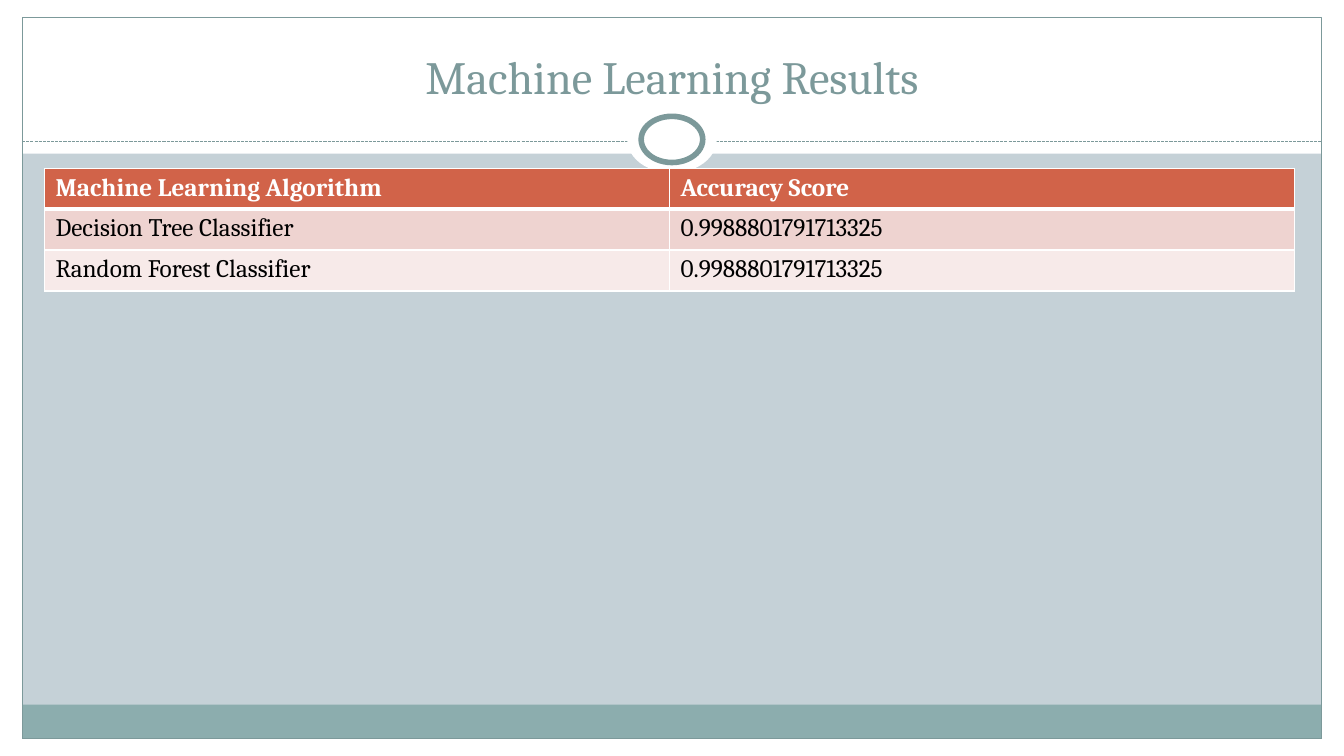
"""Build the machine learning results slide."""
from dataclasses import dataclass
from typing import Any, Optional

import lxml.etree
import pptx
import pptx.dml.color
import pptx.enum.dml
import pptx.enum.shapes
import pptx.enum.text
import pptx.oxml.ns
import pptx.util

Pt = pptx.util.Pt
Kind = pptx.enum.shapes.MSO_SHAPE


@dataclass(frozen=True)
class Theme:
    font: str = "Cambria"
    background: str = "C5D1D7"
    white: str = "FFFFFF"
    black: str = "000000"
    accent: str = "7C999A"
    footer: str = "8CADAE"
    header: str = "D16349"
    bands: tuple[str, str] = ("EED3D0", "F7EAE9")
    title_size: float = 33
    table_size: float = 18


@dataclass(frozen=True)
class Panel:
    left: float
    top: float
    width: float
    height: float
    fill: Optional[str] = None
    line: Optional[str] = None
    line_width: float = 0.75
    kind: Any = Kind.RECTANGLE


THEME = Theme()
WIDTH, HEIGHT = 960, 540
MARGIN, EDGE = 15.84, 12.24
INNER_WIDTH = WIDTH - 2 * MARGIN
FOOTER_TOP = 503.28
RULE_TOP = 100.8
PANELS = (
    Panel(0, HEIGHT - EDGE, WIDTH, EDGE, THEME.white),
    Panel(0, 0, WIDTH, 109.68, THEME.white),
    Panel(0, 0, MARGIN, HEIGHT, THEME.white),
    Panel(WIDTH - MARGIN, 0, MARGIN, HEIGHT, THEME.white),
    Panel(MARGIN, FOOTER_TOP, INNER_WIDTH, HEIGHT - EDGE - FOOTER_TOP, THEME.footer),
    Panel(MARGIN, EDGE, INNER_WIDTH, HEIGHT - 2 * EDGE, line=THEME.accent),
)
RINGS = (
    Panel(448, 75.6, 64, 48, THEME.white, kind=Kind.OVAL),
    Panel(458, 83.1, 44, 33, THEME.white, THEME.accent, 4, Kind.OVAL),
)
RESULTS = (
    ("Machine Learning Algorithm", "Accuracy Score"),
    ("Decision Tree Classifier", "0.9988801791713325"),
    ("Random Forest Classifier", "0.9988801791713325"),
)
TABLE_LEFT, TABLE_TOP = 31.8, 120.24
COLUMN_WIDTH, ROW_HEIGHT = 446.4, 29.2


def color(value: str) -> pptx.dml.color.RGBColor:
    return pptx.dml.color.RGBColor.from_string(value)


def write_text(text_frame: Any, text: str, *, size: float, fill: str,
               bold: bool = False, align: Any = pptx.enum.text.PP_ALIGN.LEFT) -> None:
    paragraph = text_frame.paragraphs[0]
    paragraph.alignment = align
    run = paragraph.add_run()
    run.text = text
    run.font.name = THEME.font
    run.font.size = Pt(size)
    run.font.bold = bold
    run.font.color.rgb = color(fill)


def draw_panel(slide: Any, panel: Panel) -> None:
    shape = slide.shapes.add_shape(panel.kind, Pt(panel.left), Pt(panel.top),
                                   Pt(panel.width), Pt(panel.height))
    shape.shadow.inherit = False
    if panel.fill:
        shape.fill.solid()
        shape.fill.fore_color.rgb = color(panel.fill)
    else:
        shape.fill.background()
    if panel.line:
        shape.line.color.rgb = color(panel.line)
        shape.line.width = Pt(panel.line_width)
    else:
        shape.line.fill.background()


def draw_rule(slide: Any) -> None:
    rule = slide.shapes.add_connector(
        pptx.enum.shapes.MSO_CONNECTOR.STRAIGHT, Pt(MARGIN), Pt(RULE_TOP),
        Pt(WIDTH - MARGIN), Pt(RULE_TOP))
    rule.line.color.rgb = color(THEME.accent)
    rule.line.width = Pt(0.75)
    rule.line.dash_style = pptx.enum.dml.MSO_LINE.SQUARE_DOT
    lxml.etree.SubElement(rule._element.spPr, pptx.oxml.ns.qn("a:effectLst"))


def draw_title(slide: Any, text: str) -> None:
    box = slide.shapes.add_textbox(Pt(32), Pt(18), Pt(896), Pt(59.76))
    box.text_frame.word_wrap = True
    box.text_frame.vertical_anchor = pptx.enum.text.MSO_ANCHOR.BOTTOM
    write_text(box.text_frame, text, size=THEME.title_size, fill=THEME.accent,
               align=pptx.enum.text.PP_ALIGN.CENTER)


def add_border(cell: Any, side: str, width: float) -> None:
    qn = pptx.oxml.ns.qn
    properties = cell._tc.get_or_add_tcPr()
    line = lxml.etree.SubElement(properties, qn(f"a:ln{side}"), w=str(Pt(width)))
    fill = lxml.etree.SubElement(line, qn("a:solidFill"))
    lxml.etree.SubElement(fill, qn("a:srgbClr"), val=THEME.white)


def draw_table(slide: Any) -> None:
    rows, columns = len(RESULTS), len(RESULTS[0])
    table = slide.shapes.add_table(
        rows, columns, Pt(TABLE_LEFT), Pt(TABLE_TOP),
        Pt(columns * COLUMN_WIDTH), Pt(rows * ROW_HEIGHT)).table
    for column in table.columns:
        column.width = Pt(COLUMN_WIDTH)
    for row_index, values in enumerate(RESULTS):
        table.rows[row_index].height = Pt(ROW_HEIGHT)
        is_header = row_index == 0
        fill = THEME.header if is_header else THEME.bands[(row_index - 1) % 2]
        for column_index, text in enumerate(values):
            cell = table.cell(row_index, column_index)
            cell.margin_left = cell.margin_right = Pt(7.92)
            cell.margin_top = cell.margin_bottom = Pt(3.6)
            for side in "LRTB":
                below_header = (row_index, side) in ((0, "B"), (1, "T"))
                add_border(cell, side, 3 if below_header else 1)
            cell.fill.solid()
            cell.fill.fore_color.rgb = color(fill)
            write_text(cell.text_frame, text, size=THEME.table_size, bold=is_header,
                       fill=THEME.white if is_header else THEME.black)


def main() -> None:
    presentation = pptx.Presentation()
    presentation.slide_width = Pt(WIDTH)
    presentation.slide_height = Pt(HEIGHT)
    slide = presentation.slides.add_slide(presentation.slide_layouts[6])
    slide.background.fill.solid()
    slide.background.fill.fore_color.rgb = color(THEME.background)
    for panel in PANELS:
        draw_panel(slide, panel)
    draw_rule(slide)
    for ring in RINGS:
        draw_panel(slide, ring)
    draw_title(slide, "Machine Learning Results")
    draw_table(slide)
    presentation.save("out.pptx")


if __name__ == "__main__":
    main()
